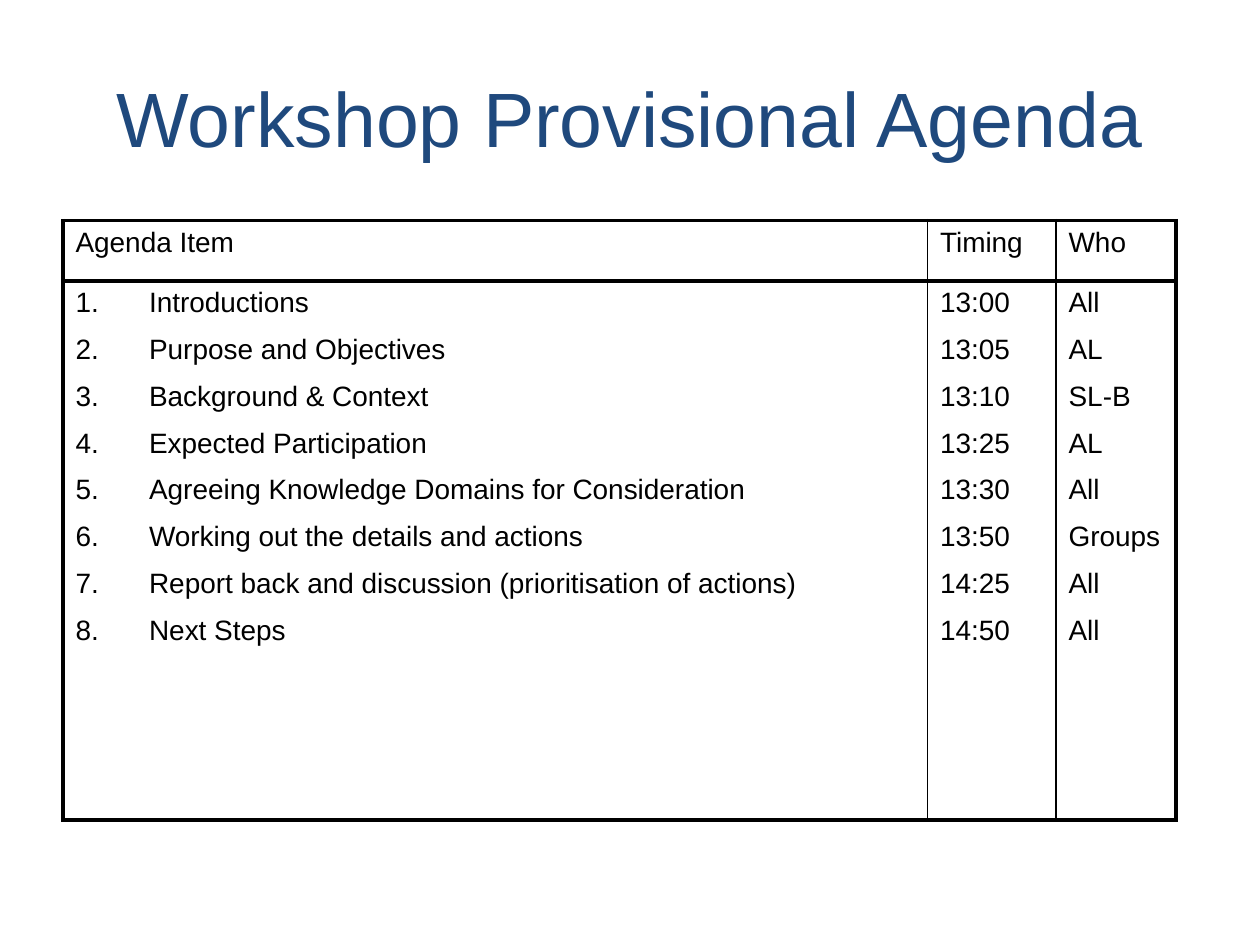
from pptx import Presentation
from pptx.dml.color import RGBColor
from pptx.enum.text import MSO_ANCHOR as Anchor, PP_ALIGN as Align
from pptx.oxml.ns import qn
from pptx.util import Pt
from lxml.etree import SubElement as Sub

BLACK = "000000"
NAVY = "1F497D"
THICK, THIN = 2.25, 1
INDENT = 42
GAP = 4.5
HEADS = ["Agenda Item", "Timing", "Who"]
ITEMS = [
    ("Introductions", "13:00", "All"),
    ("Purpose and Objectives", "13:05", "AL"),
    ("Background & Context", "13:10", "SL-B"),
    ("Expected Participation", "13:25", "AL"),
    ("Agreeing Knowledge Domains for Consideration", "13:30", "All"),
    ("Working out the details and actions", "13:50", "Groups"),
    ("Report back and discussion (prioritisation of actions)", "14:25", "All"),
    ("Next Steps", "14:50", "All"),
]
WIDTHS = [494, 73.5, 68.5]
HEIGHTS = [34.5, 308]


def color(code):
    return RGBColor.from_string(code)


def add_run(para, text, size, code):
    run = para.add_run()
    run.text = text
    font = run.font
    font.name, font.size = "Arial", Pt(size)
    font.color.rgb = color(code)


def add_title(slide, text):
    box = slide.shapes.add_textbox(Pt(36), Pt(21.6), Pt(648), Pt(90))
    frame = box.text_frame
    frame.word_wrap = True
    frame.vertical_anchor = Anchor.MIDDLE
    para = frame.paragraphs[0]
    para.alignment = Align.CENTER
    add_run(para, text, 44, NAVY)


def indent(para, numbered):
    props = para._p.get_or_add_pPr()
    props.set("marL", str(Pt(INDENT)))
    props.set("indent", str(-Pt(INDENT)))
    if numbered:
        Sub(props, qn("a:buFont"), typeface="+mj-lt")
        Sub(props, qn("a:buAutoNum"), type="arabicPeriod")


def border(cell, side, width):
    props = cell._tc.get_or_add_tcPr()
    line = Sub(props, qn(f"a:ln{side}"), w=str(Pt(width)))
    fill = Sub(line, qn("a:solidFill"))
    Sub(fill, qn("a:srgbClr"), val=BLACK)


def fill_cell(cell, lines, first, last, numbered):
    for side, width in (
        ("L", THICK if first else THIN),
        ("R", THICK if last else THIN),
        ("T", THICK),
        ("B", THICK),
    ):
        border(cell, side, width)
    cell.fill.background()
    frame = cell.text_frame
    for i, text in enumerate(lines):
        para = frame.add_paragraph() if i else frame.paragraphs[0]
        para.space_before = para.space_after = Pt(GAP)
        if first:
            indent(para, numbered)
        add_run(para, text, 16, BLACK)


def add_agenda(slide):
    frame = slide.shapes.add_table(
        2, 3, Pt(36), Pt(126), Pt(sum(WIDTHS)), Pt(sum(HEIGHTS))
    )
    table = frame.table
    table.first_row = table.horz_banding = False
    for row, height in zip(table.rows, HEIGHTS):
        row.height = Pt(height)
    end = len(HEADS) - 1
    for c, (head, lines) in enumerate(zip(HEADS, zip(*ITEMS))):
        table.columns[c].width = Pt(WIDTHS[c])
        fill_cell(table.cell(0, c), [head], c == 0, c == end, False)
        fill_cell(table.cell(1, c), lines, c == 0, c == end, True)


def main():
    deck = Presentation()
    deck.slide_width, deck.slide_height = Pt(720), Pt(540)
    slide = deck.slides.add_slide(deck.slide_layouts[6])
    add_title(slide, "Workshop Provisional Agenda")
    add_agenda(slide)
    deck.save("out.pptx")


if __name__ == "__main__":
    main()
